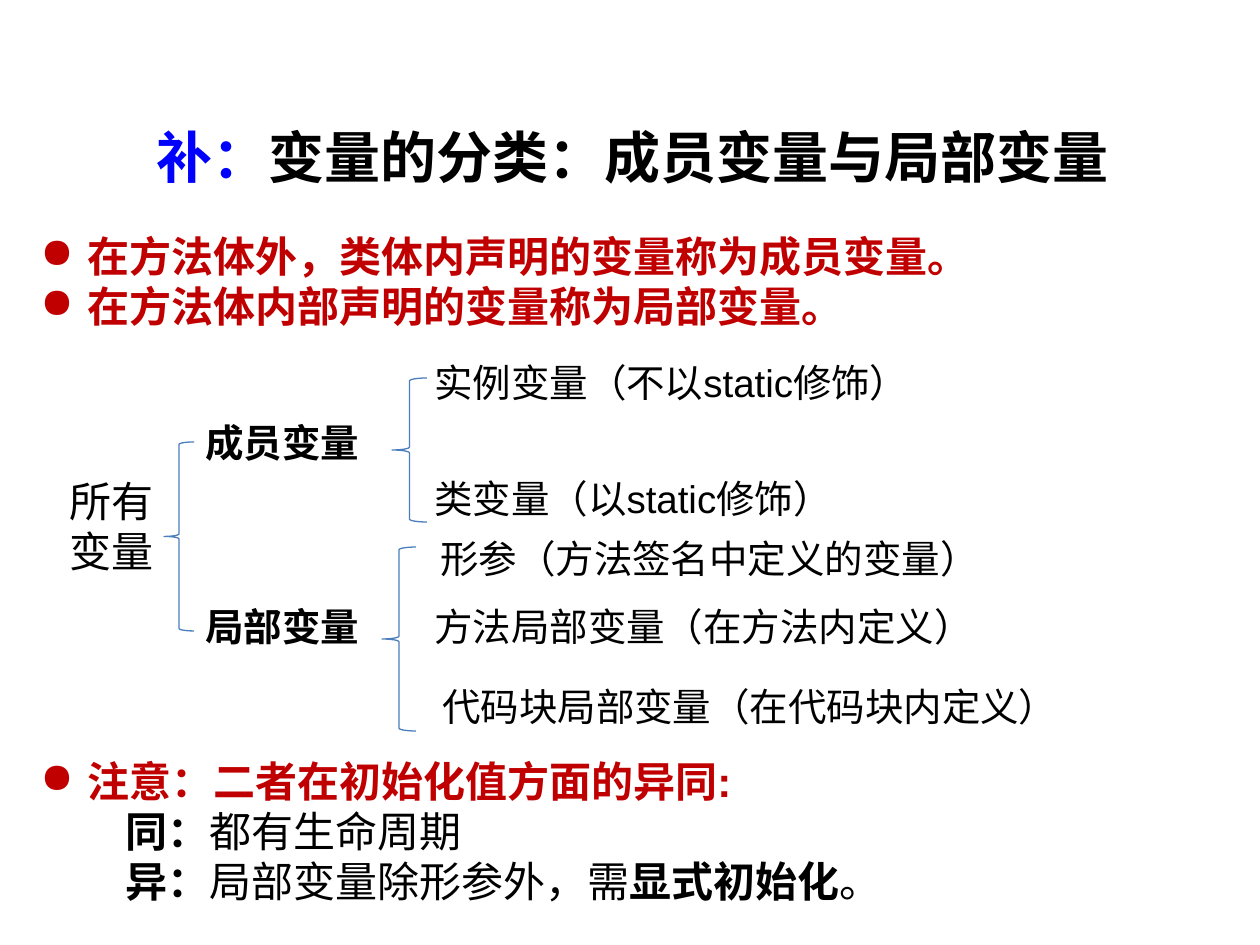
from pptx import Presentation
from pptx.dml.color import RGBColor
from pptx.enum import shapes, text
from pptx.util import Emu, Pt
from lxml import etree
from pptx.oxml import ns

PX = 914400 // 126
FONT = "Arial"
BLACK = RGBColor(0, 0, 0)
BLUE = RGBColor(0, 0, 255)
RED = RGBColor(0xC0, 0, 0)
LINE = RGBColor(0x4B, 0x7E, 0xBC)


def px(*lengths):
    return [Emu(n * PX) for n in lengths]


def add_text(slide, box, paragraphs, size):
    """Each paragraph is a list of (text, color, bold) runs."""
    tf = slide.shapes.add_textbox(*px(*box)).text_frame
    tf.word_wrap = True
    tf.auto_size = text.MSO_AUTO_SIZE.SHAPE_TO_FIT_TEXT
    for i, runs in enumerate(paragraphs):
        p = tf.paragraphs[0] if i == 0 else tf.add_paragraph()
        p.font.size = Pt(size)
        p.font.name = FONT
        for words, color, bold in runs:
            r = p.add_run()
            r.text = words
            r.font.size = Pt(size)
            r.font.name = FONT
            r.font.bold = bold
            r.font.color.rgb = color
    return tf


def set_indent(p, left, first=0, bullet=None):
    pPr = p._p.get_or_add_pPr()
    pPr.set("marL", str(left * PX))
    pPr.set("indent", str(first * PX))
    if bullet:
        bu = etree.Element(ns.qn("a:buChar"), char=bullet)
        pPr.insert_element_before(bu, "a:tabLst", "a:defRPr", "a:extLst")


def add_bullets(slide, box, paragraphs, bullets):
    """The first paragraphs are bulleted, the rest are indented."""
    tf = add_text(slide, box, paragraphs, 24)
    for i, p in enumerate(tf.paragraphs):
        if i < bullets:
            set_indent(p, 47, -47, "●")
        else:
            set_indent(p, 85)


def add_brace(slide, box):
    sp = slide.shapes.add_shape(shapes.MSO_SHAPE.LEFT_BRACE, *px(*box))
    sp.shadow.inherit = False
    sp.fill.background()
    sp.line.color.rgb = LINE
    sp.line.width = Pt(0.75)


def main():
    prs = Presentation()
    prs.slide_width, prs.slide_height = px(1260, 945)
    slide = prs.slides.add_slide(prs.slide_layouts[6])

    # Title
    add_text(slide, (144, 116, 1012, 81),
             [[("补：", BLUE, True), ("变量的分类：成员变量与局部变量", BLACK, True)]], 32)

    # Definitions
    add_bullets(slide, (28, 224, 1152, 115), [
        [("在方法体外，类体内声明的变量称为成员变量。", RED, True)],
        [("在方法体内部声明的变量称为局部变量。", RED, True)],
    ], 2)

    # Tree of variables
    add_text(slide, (57, 469, 116, 115),
             [[("所有", BLACK, False)], [("变量", BLACK, False)]], 24)
    for box in ((164, 442, 30, 189), (392, 378, 35, 144), (382, 547, 34, 184)):
        add_brace(slide, box)
    for left, top, width, label, bold in (
        (193, 413, 208, "成员变量", True),
        (193, 597, 208, "局部变量", True),
        (422, 353, 625, "实例变量（不以static修饰）", False),
        (422, 469, 625, "类变量（以static修饰）", False),
        (428, 529, 625, "形参（方法签名中定义的变量）", False),
        (422, 597, 625, "方法局部变量（在方法内定义）", False),
        (430, 677, 677, "代码块局部变量（在代码块内定义）", False),
    ):
        add_text(slide, (left, top, width, 59), [[(label, BLACK, bold)]], 22)

    # Note
    add_bullets(slide, (28, 749, 1152, 165), [
        [("注意：二者在初始化值方面的异同:", RED, True)],
        [("同：", BLACK, True), ("都有生命周期", BLACK, False)],
        [("异：", BLACK, True), ("局部变量除形参外，需", BLACK, False),
         ("显式初始化", BLACK, True), ("。", BLACK, False)],
    ], 1)

    prs.save("out.pptx")


main()
